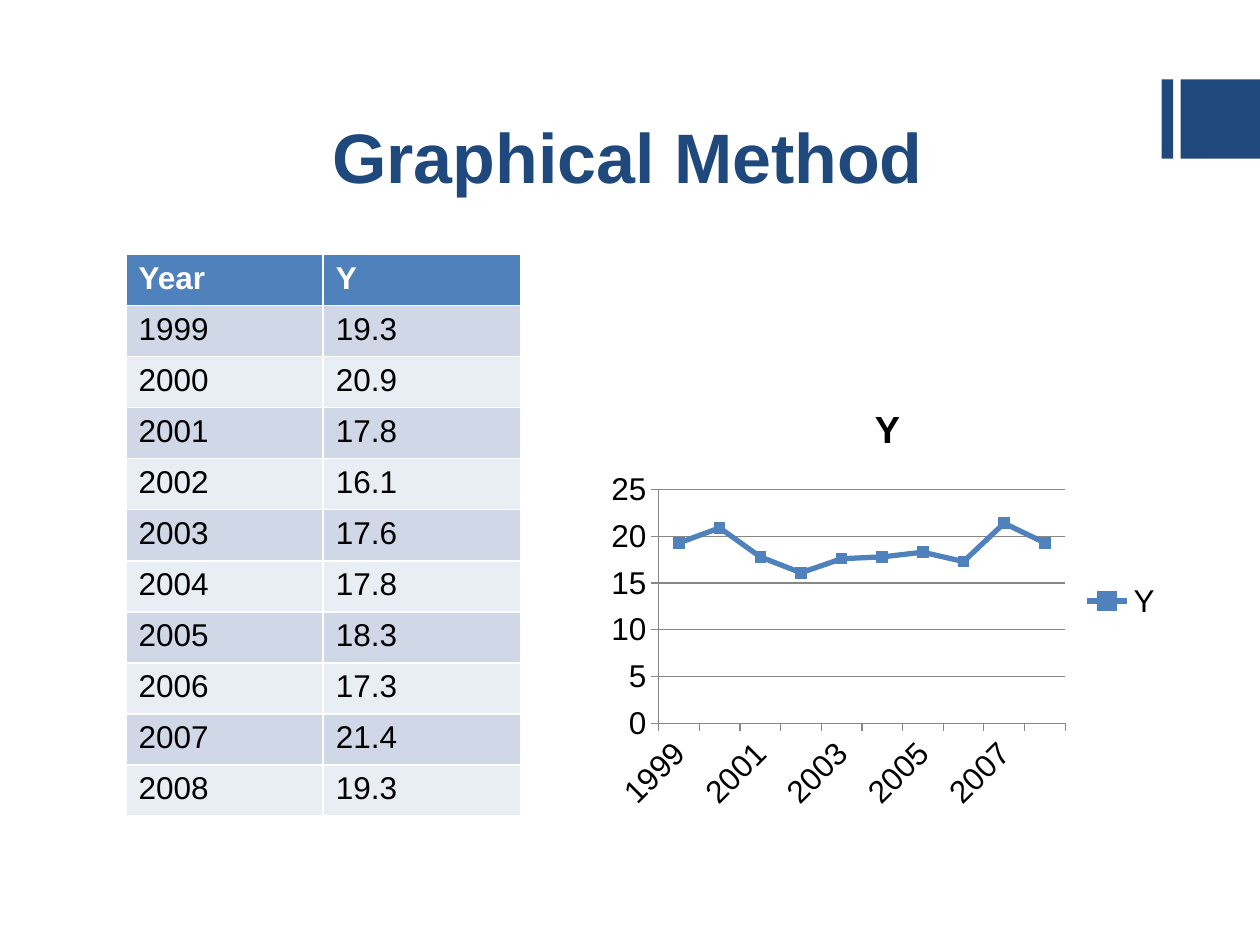
from pptx import Presentation
from pptx.chart.data import CategoryChartData
from pptx.dml.color import RGBColor
from pptx.enum.chart import XL_CHART_TYPE, XL_LEGEND_POSITION, XL_MARKER_STYLE, XL_TICK_MARK
from pptx.enum.shapes import MSO_SHAPE
from pptx.enum.text import MSO_ANCHOR, PP_ALIGN
from pptx.util import Inches, Pt

LINE, RIGHT = XL_CHART_TYPE.LINE_MARKERS, XL_LEGEND_POSITION.RIGHT
SQUARE, OUT = XL_MARKER_STYLE.SQUARE, XL_TICK_MARK.OUTSIDE
RECT, BOTTOM, CENTER = MSO_SHAPE.RECTANGLE, MSO_ANCHOR.BOTTOM, PP_ALIGN.CENTER

NAVY = RGBColor(0x1F, 0x49, 0x7D)
BLUE = RGBColor(0x4F, 0x81, 0xBD)
BANDS = RGBColor(0xE9, 0xED, 0xF4), RGBColor(0xD0, 0xD8, 0xE8)
GREY = RGBColor(0x87, 0x87, 0x87)
WHITE = RGBColor(255, 255, 255)
BLACK = RGBColor(0, 0, 0)

TITLE = "Graphical Method"
HEADS = "Year", "Y"
FIRST = 1999
VALUES = 19.3, 20.9, 17.8, 16.1, 17.6, 17.8, 18.3, 17.3, 21.4, 19.3
YEARS = [str(FIRST + i) for i in range(len(VALUES))]
ROWS = [HEADS, *zip(YEARS, map(str, VALUES))]

WIDE, HIGH = 10, 7.5
SIDE, GAP, BAR = 0.63, 0.06, 0.09
SPOTS = {
    "title": (0.98, 0.36, 8, 1.26),
    "table": (1, 2.02, 3.13, 4.46),
    "chart": (4.76, 3.04, 4.57, 3.46),
}
BARS = [(WIDE - SIDE - GAP - BAR, BAR), (WIDE - SIDE, SIDE)]


def box(name):
    return [Inches(n) for n in SPOTS[name]]


def style(font, color, size=18, bold=False):
    looks = {"name": "Arial", "size": Pt(size), "bold": bold}
    for key, value in looks.items():
        setattr(font, key, value)
    font.color.rgb = color


def add_title(slide):
    title = slide.shapes.title
    for key, value in zip(("left", "top", "width", "height"), box("title")):
        setattr(title, key, value)
    frame = title.text_frame
    frame.text, frame.vertical_anchor = TITLE, BOTTOM
    para = frame.paragraphs[0]
    para.alignment = CENTER
    style(para.runs[0].font, NAVY, 40, True)


def add_bars(slide):
    for left, width in BARS:
        bar = slide.shapes.add_shape(RECT, Inches(left), Inches(SIDE), Inches(width), Inches(SIDE))
        bar.shadow.inherit = False
        bar.fill.solid()
        bar.fill.fore_color.rgb = NAVY
        bar.line.fill.background()


def add_grid(slide):
    table = slide.shapes.add_table(len(ROWS), len(HEADS), *box("table")).table
    for r, row in enumerate(ROWS):
        for c, text in enumerate(row):
            cell = table.cell(r, c)
            cell.text = text
            cell.fill.solid()
            cell.fill.fore_color.rgb = BANDS[r % 2] if r else BLUE
            font = cell.text_frame.paragraphs[0].runs[0].font
            style(font, BLACK if r else WHITE, bold=r == 0)


def add_plot(slide):
    data = CategoryChartData()
    data.categories = YEARS
    data.add_series(HEADS[1], VALUES)
    chart = slide.shapes.add_chart(LINE, *box("chart"), data).chart
    style(chart.font, BLACK)
    chart.has_title = chart.has_legend = True
    frame = chart.chart_title.text_frame
    frame.text = HEADS[1]
    style(frame.paragraphs[0].runs[0].font, BLACK, 21.6, True)
    chart.legend.position, chart.legend.include_in_layout = RIGHT, False

    plot = chart.plots[0]
    plot.vary_by_categories = False
    series = plot.series[0]
    series.smooth = False
    series.format.line.color.rgb = BLUE
    series.format.line.width = Pt(3)
    mark = series.marker
    mark.style, mark.size = SQUARE, 6
    mark.format.fill.solid()
    mark.format.fill.fore_color.rgb = BLUE
    mark.format.line.color.rgb = BLUE

    axis = chart.value_axis
    axis.has_major_gridlines = True
    for part in (axis, chart.category_axis, axis.major_gridlines):
        part.format.line.color.rgb = GREY
    for part in (axis, chart.category_axis):
        part.major_tick_mark = OUT


def main():
    """Build the slide with its table and line chart."""
    deck = Presentation()
    deck.slide_width, deck.slide_height = Inches(WIDE), Inches(HIGH)
    slide = deck.slides.add_slide(deck.slide_layouts[5])
    add_bars(slide)
    add_title(slide)
    add_grid(slide)
    add_plot(slide)
    deck.save("out.pptx")


if __name__ == "__main__":
    main()
